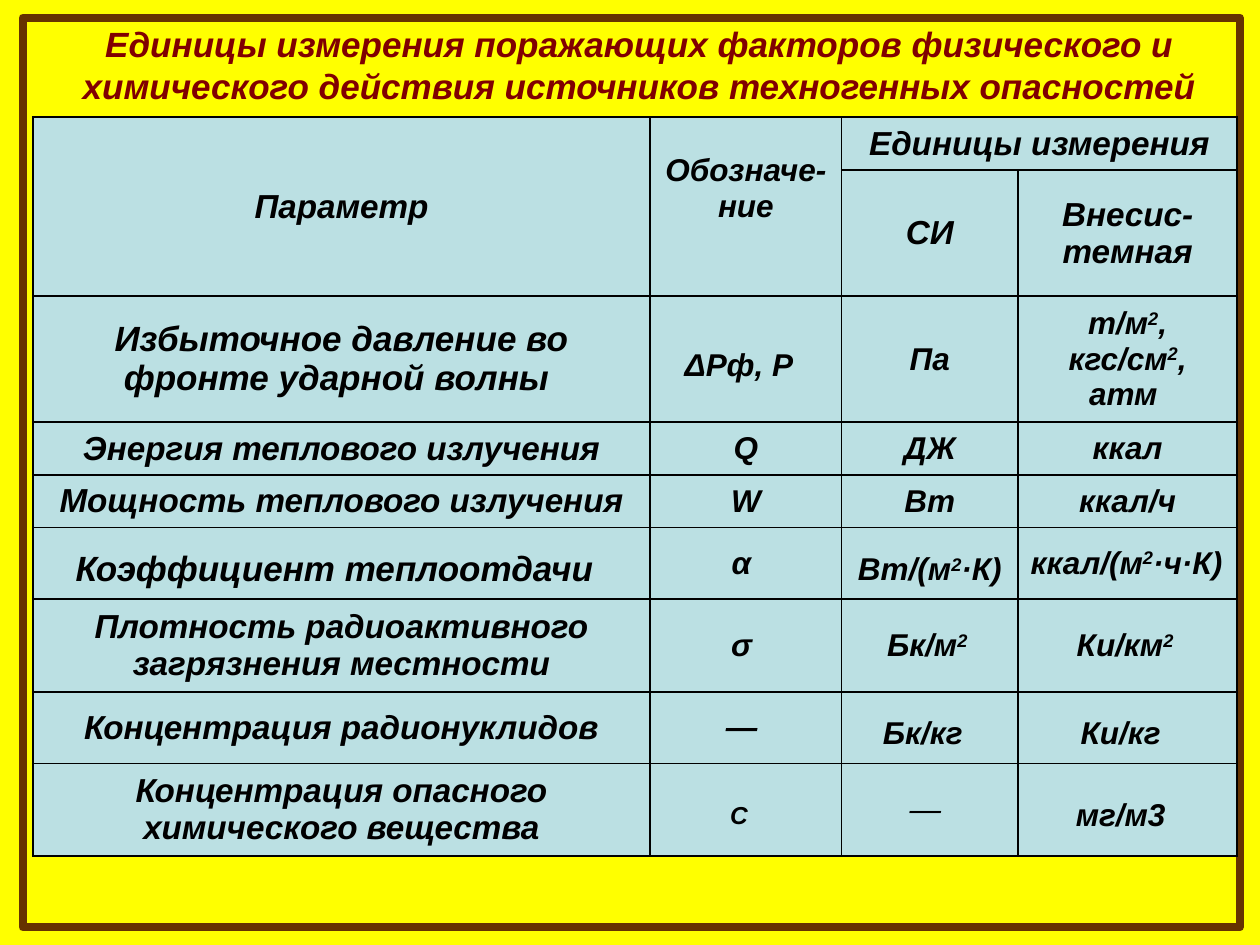
from lxml import etree
from pptx import Presentation, util as u
from pptx.dml.color import RGBColor
from pptx.enum import shapes, text
from pptx.oxml import parse_xml
from pptx.oxml.ns import nsdecls

# Content: ^ opens and closes a superscript
TITLE = ("Единицы измерения поражающих факторов физического и "
         "химического действия источников техногенных опасностей")
ROWS = [
    ["Параметр", "Обозначе-ние", "Единицы измерения", None],
    [None, None, "СИ", "Внесис-темная"],
    ["Избыточное давление во фронте ударной волны ", "ΔРф, Р", "Па",
     "т/м^2^, кгс/см^2^, атм "],
    ["Энергия теплового излучения", "Q", "ДЖ", "ккал"],
    ["Мощность теплового излучения", "W", "Вт", "ккал/ч"],
    ["Коэффициент теплоотдачи", "α ", "Вт/(м^2^·К)", "ккал/(м^2^·ч·К)"],
    ["Плотность радиоактивного загрязнения местности", "σ ", "Бк/м^2 ^", "Ки/км^2 ^"],
    ["Концентрация радионуклидов", "— ", "Бк/кг", "Ки/кг"],
    ["Концентрация опасного химического вещества", "C", "— ", "мг/м3"],
]
MERGES = [((0, 0), (1, 0)), ((0, 1), (1, 1)), ((0, 2), (0, 3))]

# Cells that depart from the rule, by (row, column)
SIZES = {(0, 1): 18, (2, 0): 20, (5, 0): 20, (8, 1): 14}
LEFT_ALIGNED = {(5, 3)}
NOT_BOLD = {(8, 2)}
# Extra margins in points: top, right, bottom
LOWERED = (7, 8, 0)
EXTRA_MARGINS = {(0, 1): (0, 0, 20.7), (5, 2): (7, 0, 0)}
EXTRA_MARGINS.update(dict.fromkeys(
    [(2, 1), (5, 0), (7, 2), (7, 3), (8, 1), (8, 3)], LOWERED))

COLORS = {"page": "FFFF00", "frame": "663300", "title": "800000",
          "cell": "BBE0E3", "ink": "000000"}
FONT = "Arial"
COLUMN_WIDTHS = [4.9, 1.52, 1.4, 1.74]
ROW_HEIGHTS = [0.42, 1, 1, 0.42, 0.41, 0.57, 0.73, 0.57, 0.73]
BORDER = 1.08


def color(name):
    return RGBColor.from_string(COLORS[name])


def style(span, size, ink, bold=True):
    font = span.font
    font.name, font.size = FONT, u.Pt(size)
    font.bold, font.italic = bold, True
    font.color.rgb = color(ink)


def place(shape, left, top, width, height):
    shape.left, shape.top = u.Inches(left), u.Inches(top)
    shape.width, shape.height = u.Inches(width), u.Inches(height)


def add_borders(cell):
    properties = cell._tc.get_or_add_tcPr()
    for side in ("lnL", "lnR", "lnT", "lnB"):
        properties.append(parse_xml(
            f'<a:{side} {nsdecls("a")} w="{u.Pt(BORDER)}"><a:solidFill>'
            f'<a:srgbClr val="{COLORS["ink"]}"/></a:solidFill></a:{side}>'))


def add_text_shadow(span):
    fill = span.font._element.find("{*}solidFill")
    fill.addnext(parse_xml(
        f'<a:effectLst {nsdecls("a")}><a:outerShdw dist="17961" dir="2700000">'
        f'<a:srgbClr val="{COLORS["ink"]}"/></a:outerShdw></a:effectLst>'))


def fill_cell(cell, key, content):
    row, column = key
    top, right, bottom = EXTRA_MARGINS.get(key, (0, 0, 0))
    cell.vertical_anchor = text.MSO_ANCHOR.MIDDLE
    cell.margin_left = u.Inches(0.1)
    cell.margin_right = u.Inches(0.1) + u.Pt(right)
    cell.margin_top = u.Inches(0.05) + u.Pt(top)
    cell.margin_bottom = u.Inches(0.05) + u.Pt(bottom)
    para = cell.text_frame.paragraphs[0]
    para.alignment = text.PP_ALIGN.LEFT if key in LEFT_ALIGNED else text.PP_ALIGN.CENTER
    size = SIZES.get(key, 19 if column == 0 or row < 2 else 18)
    for index, part in enumerate(content.split("^")):
        if part:
            span = para.add_run()
            span.text = part
            style(span, size, "ink", key not in NOT_BOLD)
            if index % 2:
                span.font._element.set("baseline", "30000")


deck = Presentation()
deck.slide_width, deck.slide_height = u.Inches(10), u.Inches(7.5)
page = deck.slides.add_slide(deck.slide_layouts[5])
page.background.fill.solid()
page.background.fill.fore_color.rgb = color("page")

# Title
title = page.shapes.title
place(title, 0.43, 0.13, 9.29, 0.77)
frame_text = title.text_frame
frame_text.text = TITLE
frame_text.word_wrap = True
frame_text.auto_size = text.MSO_AUTO_SIZE.SHAPE_TO_FIT_TEXT
frame_text.vertical_anchor = text.MSO_ANCHOR.MIDDLE
title_para = frame_text.paragraphs[0]
title_para.alignment = text.PP_ALIGN.CENTER
style(title_para.runs[0], 20, "title")
add_text_shadow(title_para.runs[0])

# Frame around the page, behind the title
frame = page.shapes.add_shape(shapes.MSO_SHAPE.RECTANGLE, 0, 0, 0, 0)
place(frame, 0.18, 0.14, 9.66, 7.22)
frame.shadow.inherit = False
frame.fill.background()
frame.line.color.rgb = color("frame")
frame.line.width = u.Pt(4.5)
title._element.addprevious(frame._element)

# Table of units
table = page.shapes.add_table(
    len(ROWS), len(COLUMN_WIDTHS), u.Inches(0.26), u.Inches(0.93),
    u.Inches(sum(COLUMN_WIDTHS)), u.Inches(sum(ROW_HEIGHTS))).table
table.first_row = table.horz_banding = False
for column, width in zip(table.columns, COLUMN_WIDTHS):
    column.width = u.Inches(width)
for row, height in zip(table.rows, ROW_HEIGHTS):
    row.height = u.Inches(height)
for first, last in MERGES:
    table.cell(*first).merge(table.cell(*last))
for r, contents in enumerate(ROWS):
    for c, content in enumerate(contents):
        cell = table.cell(r, c)
        add_borders(cell)
        cell.fill.solid()
        cell.fill.fore_color.rgb = color("cell")
        if content:
            fill_cell(cell, (r, c), content)

deck.save("out.pptx")
